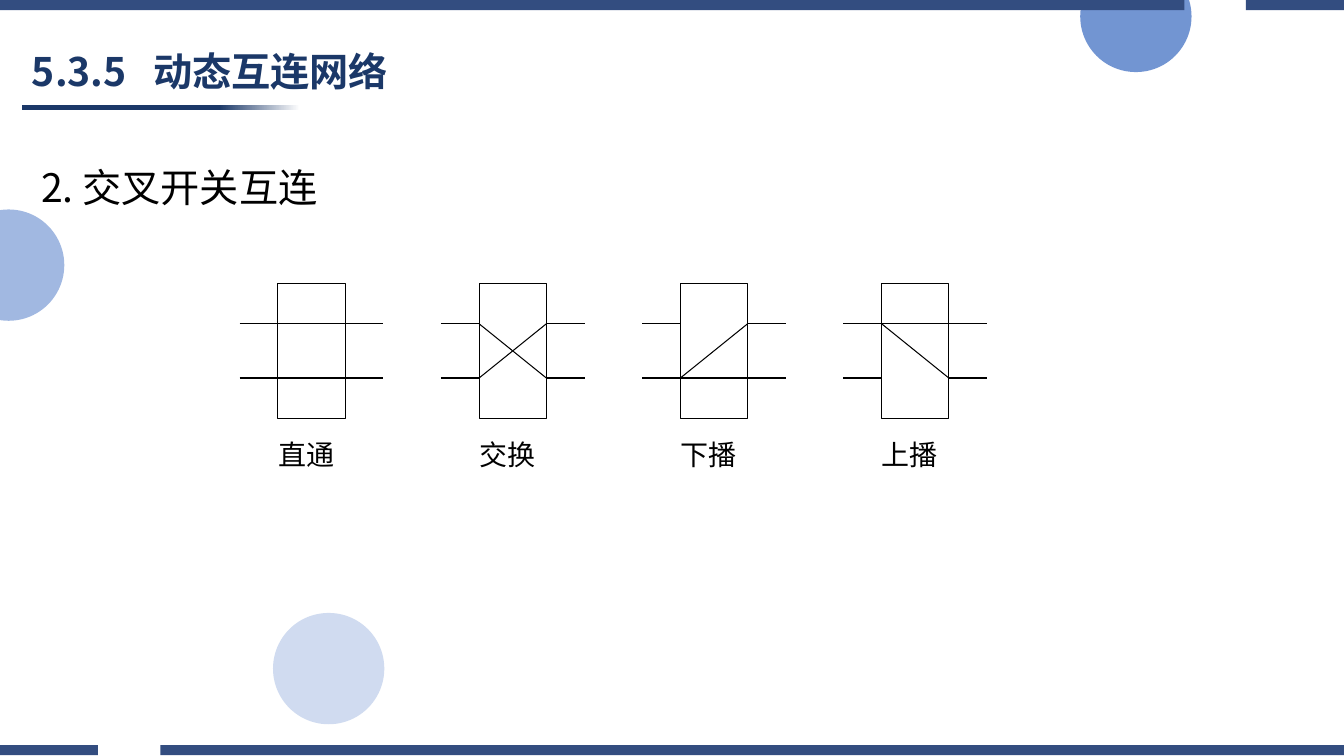
from lxml.etree import SubElement
from pptx import Presentation
from pptx.dml.color import RGBColor
from pptx.enum.shapes import MSO_CONNECTOR, MSO_SHAPE
from pptx.enum.text import MSO_ANCHOR
from pptx.oxml.ns import qn
from pptx.util import Pt

COLORS = {"dot": "4472C4", "navy": "1B3868", "bar": "334D80",
          "ink": "000000", "white": "FFFFFF"}
SANS, SERIF = "Noto Sans CJK SC", "Times New Roman"


class Painter:
    """Draws styled elements on the current slide, in points."""

    def __init__(self, slide):
        self.shapes = slide.shapes

    def color(self, name):
        return RGBColor.from_string(COLORS[name])

    def shape(self, kind, left, top, width, height):
        item = self.shapes.add_shape(kind, Pt(left), Pt(top), Pt(width), Pt(height))
        item.shadow.inherit = False
        return item

    def dot(self, left, top, alpha):
        item = self.shape(MSO_SHAPE.OVAL, left, top, 79.5, 79.5)
        item.fill.solid()
        item.fill.fore_color.rgb = self.color("dot")
        item.line.fill.background()
        tint = item.fill._xPr.find(qn("a:solidFill"))[0]
        SubElement(tint, qn("a:alpha"), val=str(alpha * 1000))

    def fade(self, left, top, width, height):
        item = self.shape(MSO_SHAPE.RECTANGLE, left, top, width, height)
        item.line.fill.background()
        item.fill.gradient()
        item.fill.gradient_angle = 0
        ends = ((0.71, "navy"), (1, "white"))
        for stop, (place, name) in zip(item.fill.gradient_stops, ends):
            stop.position = place
            stop.color.rgb = self.color(name)

    def band(self, top, start, end):
        low = top + 7.2
        form = self.shapes.build_freeform(Pt(0), Pt(top), scale=1.0)
        for left, right in ((0, start), (end, 960)):
            if left:
                form.move_to(Pt(left), Pt(top))
            spots = ((right, top), (right, low), (left, low))
            form.add_line_segments([(Pt(x), Pt(y)) for x, y in spots])
        item = form.convert_to_shape()
        item.shadow.inherit = False
        item.fill.solid()
        item.fill.fore_color.rgb = self.color("bar")
        item.line.fill.background()

    def frame(self, left, top, width, height):
        item = self.shape(MSO_SHAPE.RECTANGLE, left, top, width, height)
        item.fill.background()
        item.line.color.rgb = self.color("ink")
        item.line.width = Pt(0.75)

    def line(self, x1, y1, x2, y2):
        item = self.shapes.add_connector(
            MSO_CONNECTOR.STRAIGHT, Pt(x1), Pt(y1), Pt(x2), Pt(y2))
        item.line.color.rgb = self.color("ink")
        item.line.width = Pt(0.75)
        SubElement(item._element.spPr, qn("a:effectLst"))

    def text(self, words, left, top, width, height, size, face=SANS,
             color="ink", bold=False, space=1.0, anchor=MSO_ANCHOR.TOP, tab=None):
        box = self.shapes.add_textbox(Pt(left), Pt(top), Pt(width), Pt(height))
        frame = box.text_frame
        frame.word_wrap = True
        frame.vertical_anchor = anchor
        para = frame.paragraphs[0]
        para.text = words
        para.line_spacing = space
        if tab:
            tabs = SubElement(para._p.get_or_add_pPr(), qn("a:tabLst"))
            SubElement(tabs, qn("a:tab"), pos=str(Pt(tab)), algn="l")
        font = para.font
        font.size = Pt(size)
        font.bold = bold
        font.color.rgb = self.color(color)
        font.name = face
        SubElement(font._rPr, qn("a:ea"), typeface=SANS)

    def switch(self, left, label, links):
        width, stub, rows = 48, 27.4, (231.3, 270)
        right = left + width
        self.frame(left, 202.3, width, 96.5)
        for y in rows:
            self.line(left - stub, y, left, y)
            self.line(right, y, right + stub, y)
        for start, end in links:
            self.line(left, rows[start], right, rows[end])
        self.text(label, left - 7, 309, 65.5, 31.7, 20, SERIF)


def main():
    deck = Presentation()
    deck.slide_width, deck.slide_height = Pt(960), Pt(540)
    pen = Painter(deck.slides.add_slide(deck.slide_layouts[6]))

    for left, top, alpha in ((195, 437.8, 25), (-33.6, 149.6, 50), (771.6, -28, 75)):
        pen.dot(left, top, alpha)
    pen.fade(15.5, 75.2, 198.7, 3.6)
    pen.band(532.2, 70, 114.5)
    pen.band(0, 846, 890)

    pen.text("5.3.5\t动态互连网络", 15.8, 32.4, 341.3, 40.3, 28, color="navy",
             bold=True, space=0.9, anchor=MSO_ANCHOR.MIDDLE, tab=86.5)
    pen.text("2. 交叉开关互连", 22.3, 96.5, 859, 50.4, 28, space=1.5)

    modes = (
        ("直通", ((0, 0), (1, 1))),
        ("交换", ((0, 1), (1, 0))),
        ("下播", ((1, 1), (1, 0))),
        ("上播", ((0, 0), (0, 1))),
    )
    for place, (label, links) in enumerate(modes):
        pen.switch(198.5 + place * 143.75, label, links)
    deck.save("out.pptx")


if __name__ == "__main__":
    main()
